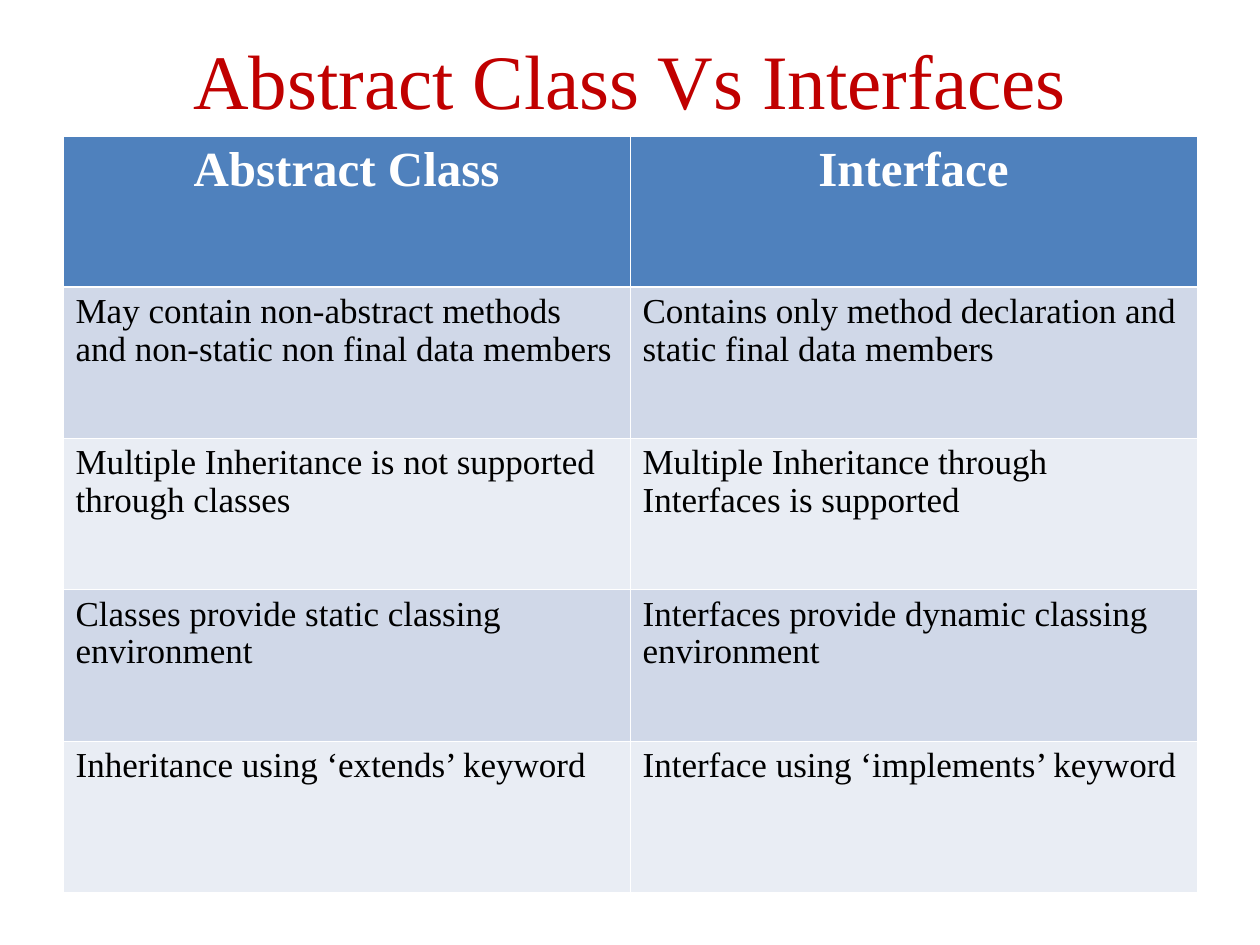
"""Build a slide with a table comparing abstract classes and interfaces."""
from lxml.etree import SubElement
from pptx import Presentation
from pptx.dml.color import RGBColor
from pptx.enum.text import MSO_ANCHOR, PP_ALIGN
from pptx.oxml.ns import qn
from pptx.util import Inches, Pt

FONT = "Times New Roman"
RED = RGBColor(0xC0, 0x00, 0x00)
WHITE = RGBColor(0xFF, 0xFF, 0xFF)
BLACK = RGBColor(0x00, 0x00, 0x00)
HEADER_BLUE = RGBColor(0x4F, 0x81, 0xBD)
BAND_DARK = RGBColor(0xD0, 0xD8, 0xE8)
BAND_LIGHT = RGBColor(0xE9, 0xED, 0xF4)
THIN, THICK = Pt(0.45), Pt(1.47)

ROWS = [
    ("Abstract Class", "Interface"),
    ("May contain non-abstract methods and non-static non final data members",
     "Contains only method declaration and static final data members"),
    ("Multiple Inheritance is not supported through classes",
     "Multiple Inheritance through Interfaces is supported"),
    ("Classes provide static classing environment",
     "Interfaces provide dynamic classing environment"),
    ("Inheritance using ‘extends’ keyword",
     "Interface using ‘implements’ keyword"),
]


def format_text(paragraph, size, color, bold=False):
    for span in paragraph.runs:
        span.font.name = FONT
        span.font.size = Pt(size)
        span.font.bold = bold
        span.font.color.rgb = color


def add_border(cell, side, width):
    properties = cell._tc.get_or_add_tcPr()
    line = SubElement(properties, qn(f"a:ln{side}"), w=str(width))
    fill = SubElement(line, qn("a:solidFill"))
    SubElement(fill, qn("a:srgbClr"), val=str(WHITE))


deck = Presentation()
deck.slide_width, deck.slide_height = Inches(10), Inches(7.5)
page = deck.slides.add_slide(deck.slide_layouts[5])

title = page.shapes.title
title.left, title.top = Inches(0.5), Inches(0)
title.width, title.height = Inches(9), Inches(1.25)
title.text_frame.text = "Abstract Class Vs Interfaces"
title.text_frame.vertical_anchor = MSO_ANCHOR.MIDDLE
heading = title.text_frame.paragraphs[0]
heading.alignment = PP_ALIGN.CENTER
format_text(heading, 44, RED)

table = page.shapes.add_table(
    len(ROWS), 2, Inches(0.5), Inches(1.08), Inches(9), Inches(6)).table

for row_index, texts in enumerate(ROWS):
    is_header = row_index == 0
    band = BAND_DARK if row_index % 2 else BAND_LIGHT
    for column_index, text in enumerate(texts):
        cell = table.cell(row_index, column_index)
        add_border(cell, "L", THIN)
        add_border(cell, "R", THIN)
        add_border(cell, "T", THICK if row_index == 1 else THIN)
        add_border(cell, "B", THICK if is_header else THIN)
        cell.fill.solid()
        cell.fill.fore_color.rgb = HEADER_BLUE if is_header else band
        cell.text_frame.text = text
        paragraph = cell.text_frame.paragraphs[0]
        if is_header:
            paragraph.alignment = PP_ALIGN.CENTER
            format_text(paragraph, 28, WHITE, bold=True)
        else:
            paragraph.line_spacing = 0.97
            format_text(paragraph, 20, BLACK)

deck.save("out.pptx")
